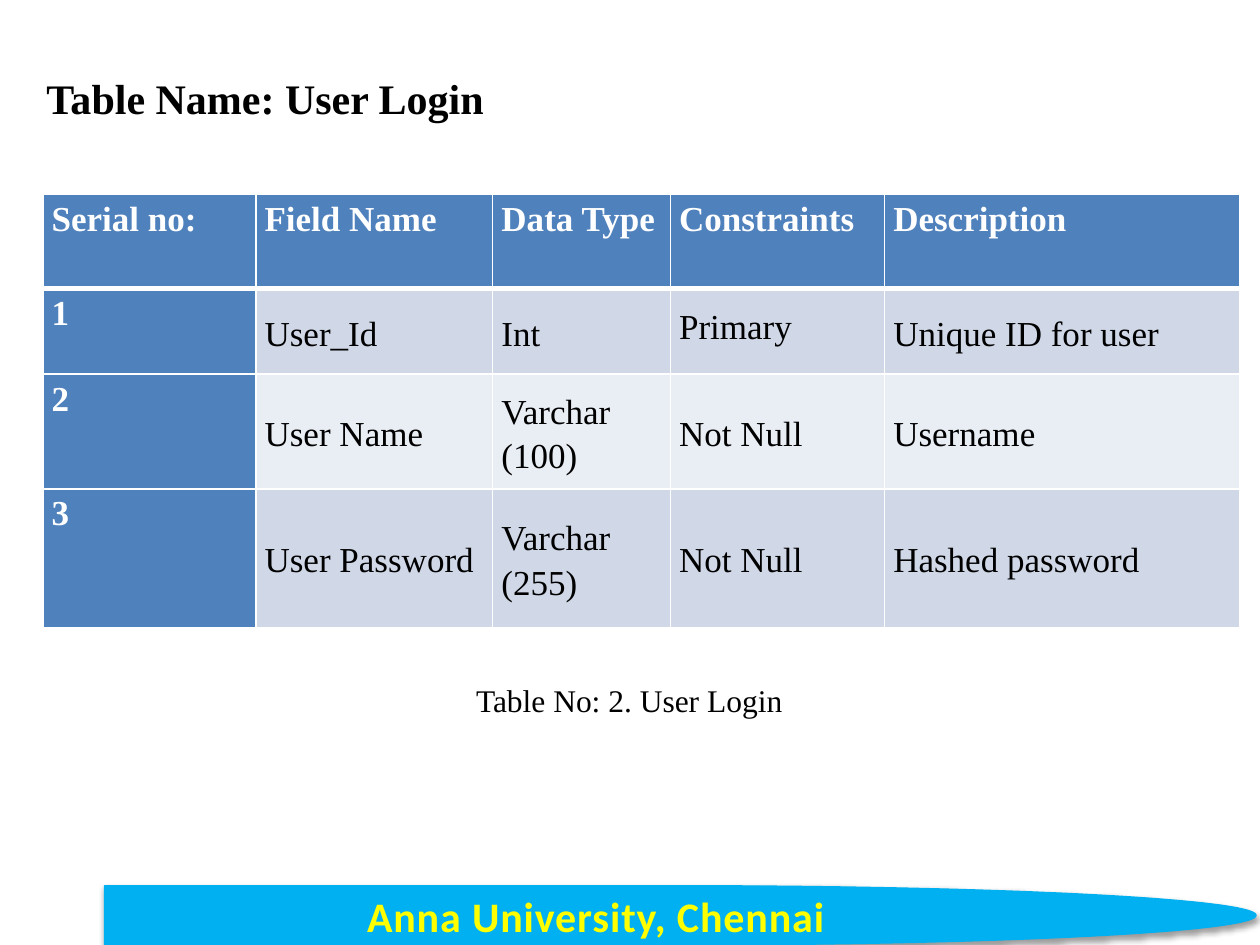
"""Build the User Login table slide."""
from dataclasses import dataclass
from typing import Any, NamedTuple

from lxml.etree import SubElement
from pptx import Presentation
from pptx.dml.color import RGBColor
from pptx.enum.shapes import MSO_SHAPE
from pptx.enum.text import MSO_ANCHOR, PP_ALIGN
from pptx.oxml import parse_xml
from pptx.oxml.ns import nsdecls, qn
from pptx.util import Inches, Pt


@dataclass(frozen=True)
class Theme:
    serif: str = "Times New Roman"
    sans: str = "Calibri"
    black: str = "000000"
    white: str = "FFFFFF"
    header: str = "4F81BD"
    bands: tuple[str, str] = ("D0D8E8", "E9EDF4")
    banner: str = "00B0F0"
    banner_text: str = "FFFF00"
    banner_outline: str = "E78738"
    title_pt: int = 24
    cell_pt: int = 20
    caption_pt: int = 18


class Label(NamedTuple):
    text: str
    box: tuple[float, float, float, float]
    size: int
    bold: bool
    align: PP_ALIGN


THEME = Theme()
LABELS = [
    Label("Table Name: User Login", (0.27, 0.53, 9.5, 0.5), THEME.title_pt, True, PP_ALIGN.LEFT),
    Label("Table No: 2. User Login", (0.03, 5.36, 9.93, 0.4), THEME.caption_pt, False, PP_ALIGN.CENTER),
]
COLS = [1.69, 1.88, 1.41, 1.7, 2.82]
ROWS = [0.75, 0.68, 0.91, 1.1]
DATA = [
    ["Serial no:", "Field Name", "Data Type", "Constraints", "Description"],
    ["1", "User_Id", "Int", "Primary", "Unique ID for user"],
    ["2", "User Name", "Varchar (100)", "Not Null", "Username"],
    ["3", "User Password", "Varchar (255)", "Not Null", "Hashed password"],
]


def apply(obj: Any, formats: dict[str, Any]) -> None:
    for name, value in formats.items():
        setattr(obj, name, value)


def write(p: Any, text: str, size: int, color: str, bold: bool, font: str = THEME.serif) -> Any:
    r = p.add_run()
    r.text = text
    apply(r.font, {"name": font, "size": Pt(size), "bold": bold})
    r.font.color.rgb = RGBColor.from_string(color)
    return r


def add_label(s: Any, label: Label) -> None:
    tf = s.shapes.add_textbox(*map(Inches, label.box)).text_frame
    tf.word_wrap = True
    p = tf.paragraphs[0]
    p.alignment = label.align
    write(p, label.text, label.size, THEME.black, label.bold)


def set_borders(cell: Any, widths: dict[str, int]) -> None:
    tc_pr = cell._tc.get_or_add_tcPr()
    for i, (side, width) in enumerate(widths.items()):
        tc_pr.insert(i, parse_xml(
            f'<a:ln{side} {nsdecls("a")} w="{Pt(width)}"><a:solidFill>'
            f'<a:srgbClr val="{THEME.white}"/></a:solidFill></a:ln{side}>'))


def fill_cell(cell: Any, row: int, col: int) -> None:
    strong = row == 0 or col == 0
    top = strong or DATA[row][col] == "Primary"
    apply(cell, {
        "margin_left": Inches(0.07), "margin_right": Inches(0.07),
        "margin_top": 0, "margin_bottom": 0,
        "vertical_anchor": MSO_ANCHOR.TOP if top else MSO_ANCHOR.MIDDLE,
    })
    cell.fill.solid()
    fill = THEME.header if strong else THEME.bands[(row - 1) % 2]
    cell.fill.fore_color.rgb = RGBColor.from_string(fill)
    set_borders(cell, {"L": 1, "R": 1, "T": 3 if row == 1 else 1, "B": 3 if row == 0 else 1})
    p = cell.text_frame.paragraphs[0]
    apply(p, {"line_spacing": 1.5 if DATA[row][col] == "Primary" else 1.15,
              "space_after": Pt(10 if row == 0 else 0)})
    write(p, DATA[row][col], THEME.cell_pt, THEME.white if strong else THEME.black, strong)


def add_login_table(s: Any) -> None:
    table = s.shapes.add_table(
        len(ROWS), len(COLS), Inches(0.34), Inches(1.54),
        Inches(sum(COLS)), Inches(sum(ROWS))).table
    table.first_col = True
    for column, width in zip(table.columns, COLS):
        column.width = Inches(width)
    for row, height in enumerate(ROWS):
        table.rows[row].height = Inches(height)
        for col in range(len(COLS)):
            fill_cell(table.cell(row, col), row, col)


def add_banner(s: Any) -> None:
    sp = s.shapes.add_shape(MSO_SHAPE.FLOWCHART_DELAY, *map(Inches, (0.83, 7.03, 9.14, 0.47)))
    color = RGBColor.from_string(THEME.banner)
    sp.fill.solid()
    sp.fill.fore_color.rgb = color
    sp.line.color.rgb = color
    sp.line.width = Pt(0.75)
    sp.shadow.inherit = False
    shadow = SubElement(sp._element.spPr.find(qn("a:effectLst")), qn("a:outerShdw"),
                        blurRad=str(Pt(3.1)), dist=str(Pt(1.6)), dir="5400000", rotWithShape="0")
    shade = SubElement(shadow, qn("a:srgbClr"), val=THEME.black)
    SubElement(shade, qn("a:alpha"), val="38000")
    tf = sp.text_frame
    apply(tf, {"word_wrap": True, "vertical_anchor": MSO_ANCHOR.MIDDLE})
    p = tf.paragraphs[0]
    p.alignment = PP_ALIGN.CENTER
    r = write(p, "Anna University, Chennai", THEME.title_pt, THEME.banner_text, True, THEME.sans)
    r_pr = r._r.get_or_add_rPr()
    r_pr.set("spc", "50")
    r_pr.insert(0, parse_xml(
        f'<a:ln {nsdecls("a")} w="{Pt(1)}"><a:solidFill>'
        f'<a:srgbClr val="{THEME.banner_outline}"/></a:solidFill></a:ln>'))


def main() -> None:
    prs = Presentation()
    apply(prs, {"slide_width": Inches(10), "slide_height": Inches(7.5)})
    s = prs.slides.add_slide(prs.slide_layouts[6])
    add_banner(s)
    for label in LABELS:
        add_label(s, label)
    add_login_table(s)
    prs.save("out.pptx")


if __name__ == "__main__":
    main()
